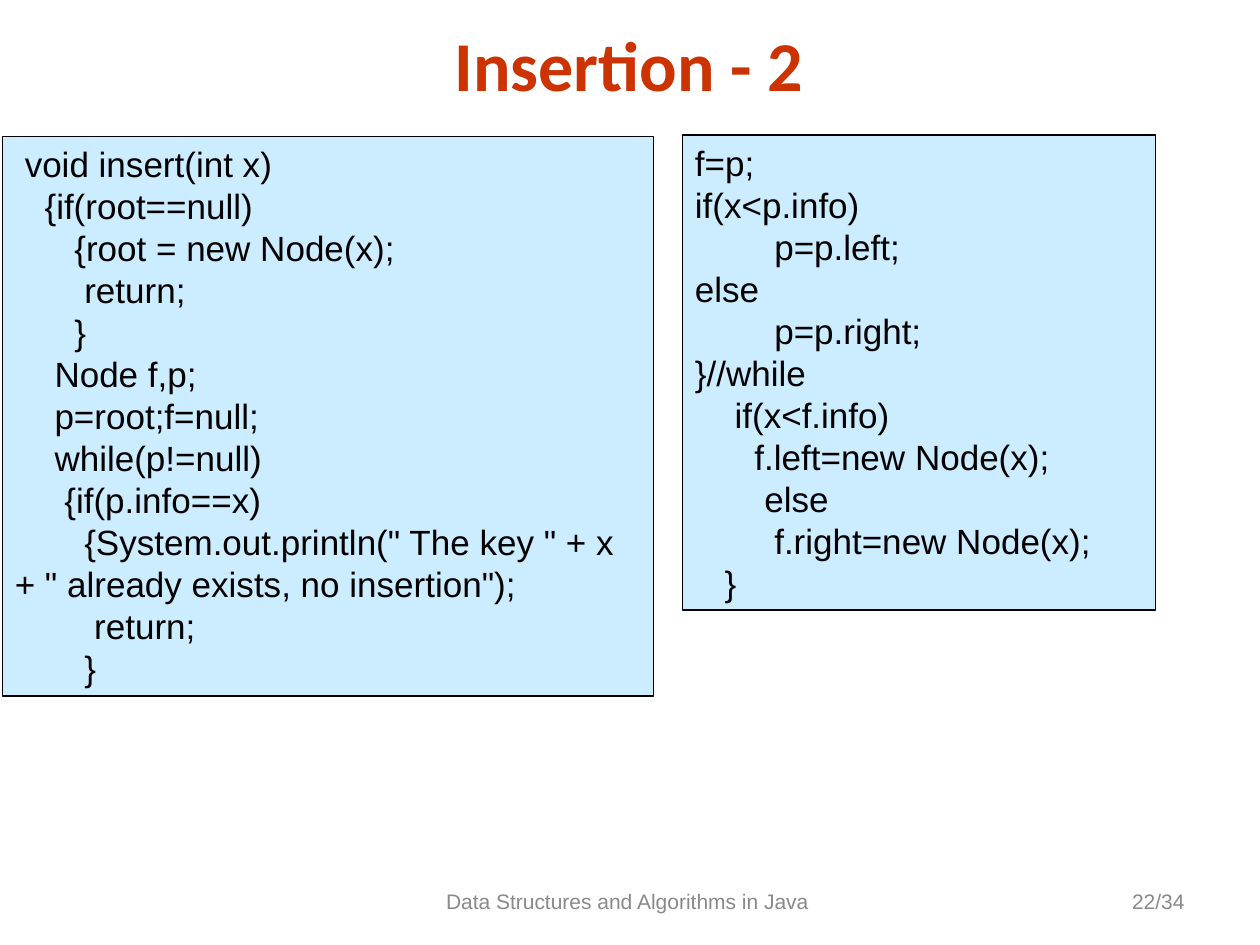
from pptx import Presentation
from pptx.dml.color import RGBColor
from pptx.enum.shapes import MSO_SHAPE as Shape
from pptx.enum.text import MSO_ANCHOR as Anchor, MSO_AUTO_SIZE as AutoSize, PP_ALIGN as Align
from pptx.util import Cm, Pt

BLACK = RGBColor(0x00, 0x00, 0x00)
GREY = RGBColor(0x89, 0x89, 0x89)
RED = RGBColor(0xCC, 0x33, 0x00)
PALE_BLUE = RGBColor(0xCC, 0xEC, 0xFF)

INDENT_STEP = Cm(0.2)  # about one space of 20 pt Arial

INSERT_START = """\
 void insert(int x)
   {if(root==null)
      {root = new Node(x);
       return;
      }
    Node f,p;
    p=root;f=null;
    while(p!=null)
     {if(p.info==x)
       {System.out.println(" The key " + x + " already exists, no insertion");
        return;
       }"""

INSERT_END = """\
f=p;
if(x<p.info)
        p=p.left;
else
        p=p.right;
}//while
    if(x<f.info)
      f.left=new Node(x);
       else
        f.right=new Node(x);
   }"""


def format_font(paragraph, color, **values):
    paragraph.font.color.rgb = color
    for name, value in values.items():
        setattr(paragraph.font, name, value)


presentation = Presentation()
presentation.slide_width = Cm(25.4)
presentation.slide_height = Cm(19.05)
slide = presentation.slides.add_slide(presentation.slide_layouts[5])

# Title
title = slide.shapes.title
title_box = {"left": Cm(4), "top": Cm(0.3), "width": Cm(17.36), "height": Cm(1.96)}
for name, value in title_box.items():
    setattr(title, name, value)
title.text_frame.text = "Insertion - 2"
title.text_frame.vertical_anchor = Anchor.MIDDLE
title.text_frame.auto_size = AutoSize.NONE
title_paragraph = title.text_frame.paragraphs[0]
title_paragraph.alignment = Align.CENTER
format_font(title_paragraph, RED, name="Calibri", size=Pt(40), bold=True)

# Code panels: left, top, width, height, code
code_panels = [
    (0.05, 2.75, 13.13, 11.28, INSERT_START),
    (13.76, 2.72, 9.53, 9.58, INSERT_END),
]
for *box, code in code_panels:
    panel = slide.shapes.add_shape(Shape.RECTANGLE, *map(Cm, box))
    panel.shadow.inherit = False
    panel.fill.solid()
    panel.fill.fore_color.rgb = PALE_BLUE
    panel.line.color.rgb = BLACK
    panel.line.width = Pt(0.75)

    frame = panel.text_frame
    frame.word_wrap = True
    frame.vertical_anchor = Anchor.TOP
    lines = code.splitlines()
    frame.text = "\n".join(line.lstrip() for line in lines)
    for paragraph, line in zip(frame.paragraphs, lines):
        depth = len(line) - len(line.lstrip())
        paragraph.alignment = Align.LEFT
        properties = paragraph._p.get_or_add_pPr()
        properties.set("marL", "0")
        properties.set("indent", str(depth * INDENT_STEP))
        format_font(paragraph, BLACK, name="Arial", size=Pt(20))

# Footer: left, width, alignment, text
footers = [
    (8.05, 9.32, Align.CENTER, "Data Structures and Algorithms in Java "),
    (18.21, 5.92, Align.RIGHT, "22/34"),
]
for left, width, alignment, text in footers:
    footer = slide.shapes.add_textbox(Cm(left), Cm(17.65), Cm(width), Cm(1.02))
    footer.text_frame.word_wrap = True
    footer.text_frame.vertical_anchor = Anchor.MIDDLE
    footer.text_frame.text = text
    paragraph = footer.text_frame.paragraphs[0]
    paragraph.alignment = alignment
    format_font(paragraph, GREY, name="Arial", size=Pt(12))

presentation.save("out.pptx")
